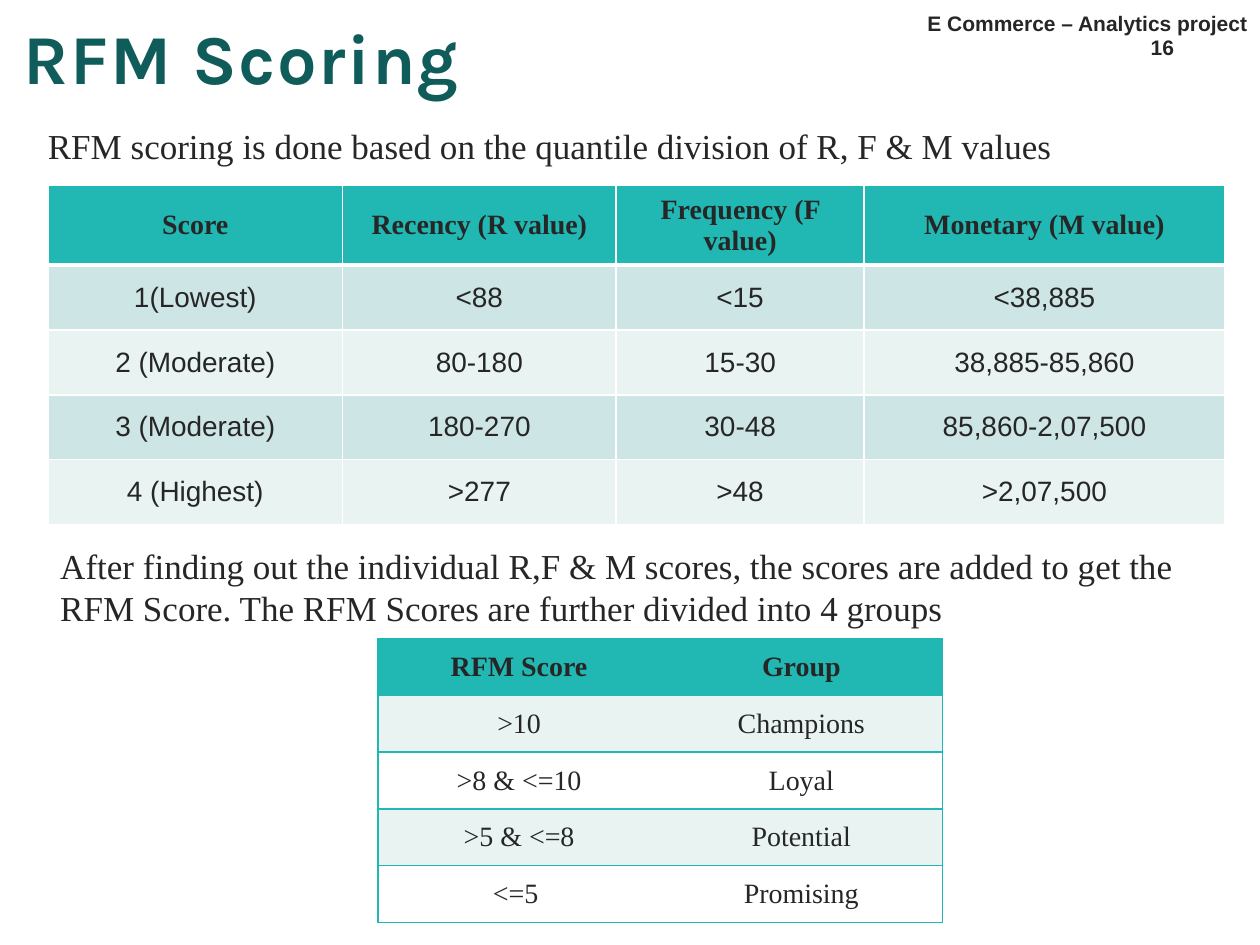
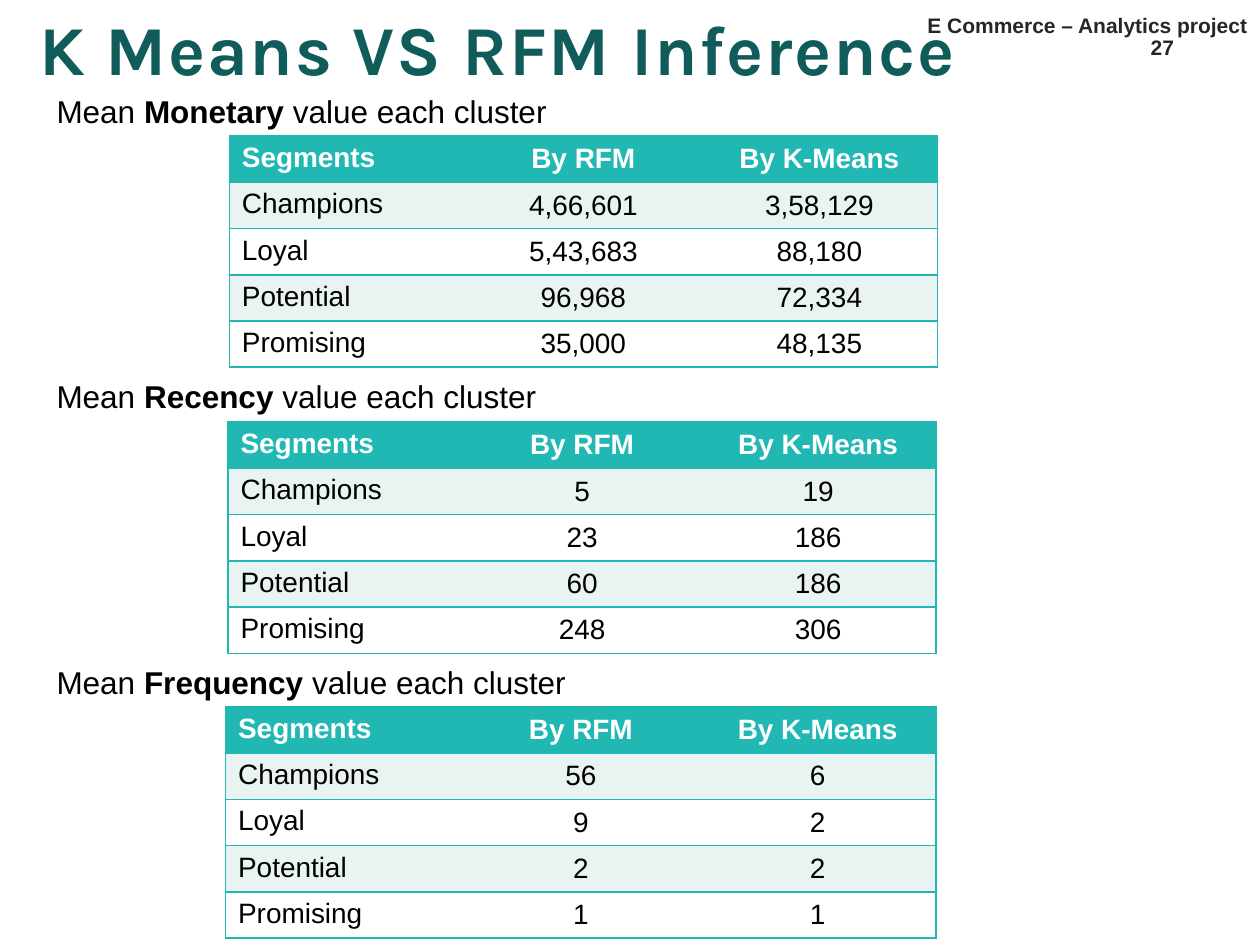
"""Builds two slides on RFM scoring and its comparison with K-Means."""
from dataclasses import dataclass
from typing import Any

from lxml.etree import SubElement
from pptx import Presentation
from pptx.dml.color import RGBColor
from pptx.enum.text import MSO_ANCHOR as Anchor, MSO_AUTO_SIZE as AutoSize, PP_ALIGN as Align
from pptx.oxml.ns import qn
from pptx.util import Inches, Pt

TEAL, DARK_TEAL = "21B8B3", "105C5A"
MID_TINT, LIGHT_TINT = "CDE6E5", "E8F3F2"
WHITE, BLACK, INK = "FFFFFF", "000000", "262626"
SANS, SERIF, DISPLAY = "Arial", "Times New Roman", "Karla"
TITLE_TRACKING = 100
TITLE_AND_BODY, TITLE_ONLY = 1, 5


@dataclass(frozen=True)
class Area:
    left: float
    top: float
    width: float
    height: float


@dataclass(frozen=True)
class TableLook:
    header_font: str
    body_font: str
    header_color: str
    body_color: str
    bands: tuple[str, str]
    line: str
    header_rule: float = 1
    inner_verticals: bool = False
    labels_left: bool = False


@dataclass(frozen=True)
class Comparison:
    measure: str
    caption_top: float
    table_area: Area
    by_rfm: tuple[str, ...]
    by_k_means: tuple[str, ...]


SCORE_LOOK = TableLook(SERIF, SANS, INK, INK, (MID_TINT, LIGHT_TINT), WHITE,
                       header_rule=3, inner_verticals=True)
GROUP_LOOK = TableLook(SERIF, SERIF, INK, INK, (LIGHT_TINT, WHITE), TEAL)
COMPARISON_LOOK = TableLook(SANS, SANS, WHITE, BLACK, (LIGHT_TINT, WHITE), TEAL,
                            labels_left=True)

SCORE_ROWS = [
    ("Score", "Recency (R value)", "Frequency (F value)", "Monetary (M value)"),
    ("1(Lowest)", "<88", "<15", "<38,885"),
    ("2 (Moderate)", "80-180", "15-30", "38,885-85,860"),
    ("3 (Moderate)", "180-270", "30-48", "85,860-2,07,500"),
    ("4 (Highest)", ">277", ">48", ">2,07,500"),
]
SEGMENTS = ("Champions", "Loyal", "Potential", "Promising")
GROUP_ROWS = [("RFM Score", "Group"),
              *zip((">10", ">8 & <=10", ">5 & <=8", "<=5 "), SEGMENTS)]
COMPARISONS = [
    Comparison("Monetary", 0.68, Area(1.82, 1.08, 5.62, 1.83),
               ("4,66,601", "5,43,683", "96,968", "35,000"),
               ("3,58,129", "88,180", "72,334", "48,135")),
    Comparison("Recency", 2.94, Area(1.81, 3.35, 5.62, 1.83),
               ("5", "23", "60", "248"), ("19", "186", "186", "306")),
    Comparison("Frequency", 5.21, Area(1.79, 5.61, 5.64, 1.83),
               ("56", "9", "2", "1"), ("6", "2", "2", "1")),
]


def rgb(color: str) -> RGBColor:
    return RGBColor.from_string(color)


def place(shape: Any, area: Area) -> None:
    shape.left, shape.top = Inches(area.left), Inches(area.top)
    shape.width, shape.height = Inches(area.width), Inches(area.height)


def write(para: Any, text: str, *, font: str = SANS, size: float = 16, color: str = INK,
          bold: bool = False, align: Any = Align.LEFT) -> Any:
    para.alignment = align
    span = para.add_run()
    span.text = text
    span.font.name, span.font.size, span.font.bold = font, Pt(size), bold
    span.font.color.rgb = rgb(color)
    return span


def add_text_box(page: Any, area: Area, anchor: Any = Anchor.TOP) -> Any:
    box = page.shapes.add_textbox(*map(Inches, (area.left, area.top, area.width, area.height)))
    box.text_frame.word_wrap = True
    box.text_frame.vertical_anchor = anchor
    return box.text_frame.paragraphs[0]


def start_page(deck: Any, layout: int, title: str, title_area: Area,
               project_area: Area, number: str) -> Any:
    page = deck.slides.add_slide(deck.slide_layouts[layout])
    place(page.shapes.title, title_area)
    frame = page.shapes.title.text_frame
    frame.auto_size, frame.vertical_anchor = AutoSize.NONE, Anchor.MIDDLE
    frame.margin_left = frame.margin_right = 0
    para = frame.paragraphs[0]
    span = write(para, title, font=DISPLAY, size=40, color=DARK_TEAL, bold=True)
    span.font._element.set("spc", str(TITLE_TRACKING))
    set_indent(para, 0.2)
    write(add_text_box(page, project_area, Anchor.BOTTOM), "E Commerce – Analytics project",
          size=12, bold=True, align=Align.RIGHT)
    write(add_text_box(page, Area(8.95, 0.19, 0.55, 0.33), Anchor.BOTTOM), number,
          size=12, bold=True, align=Align.CENTER)
    return page


def set_indent(para: Any, left: float) -> None:
    properties = para._p.get_or_add_pPr()
    properties.set("marL", str(Inches(left)))
    properties.set("indent", "0")


def set_border(cell: Any, side: str, color: str, width: float) -> None:
    line = SubElement(cell._tc.get_or_add_tcPr(), qn(f"a:ln{side}"), w=str(Pt(width)))
    if width:
        SubElement(SubElement(line, qn("a:solidFill")), qn("a:srgbClr"), val=color)
    else:
        SubElement(line, qn("a:noFill"))


def add_data_table(page: Any, area: Area, rows: list[tuple[str, ...]], look: TableLook,
                   widths: list[float], header_height: float) -> None:
    last_column = len(widths) - 1
    frame = page.shapes.add_table(len(rows), len(widths), Inches(area.left), Inches(area.top),
                                  Inches(area.width), Inches(area.height))
    table = frame.table
    table.first_row = table.horz_banding = False
    for column, width in zip(table.columns, widths):
        column.width = Inches(width)
    body_height = (area.height - header_height) / (len(rows) - 1)
    for row, values in enumerate(rows):
        header = row == 0
        table.rows[row].height = Inches(header_height if header else body_height)
        for column, value in enumerate(values):
            cell = table.cell(row, column)
            label = look.labels_left and column == 0
            cell.vertical_anchor = Anchor.TOP if label else Anchor.MIDDLE
            write(cell.text_frame.paragraphs[0], value, bold=header,
                  font=look.header_font if header else look.body_font,
                  color=look.header_color if header else look.body_color,
                  align=Align.LEFT if label else Align.CENTER)
            borders = {
                "L": look.inner_verticals or column == 0,
                "R": look.inner_verticals or column == last_column,
                "T": look.header_rule if row == 1 else 1,
                "B": look.header_rule if header else 1,
            }
            for side, width in borders.items():
                set_border(cell, side, look.line, width)
            cell.fill.solid()
            cell.fill.fore_color.rgb = rgb(TEAL if header else look.bands[(row - 1) % 2])


def add_scoring_page(deck: Any) -> None:
    page = start_page(deck, TITLE_AND_BODY, "RFM Scoring", Area(-0.01, 0.01, 6.78, 0.87),
                      Area(5.87, 0, 4.13, 0.33), "16")
    body = page.placeholders[1]
    place(body, Area(0.28, 0.94, 9.45, 0.53))
    body.text_frame.auto_size = AutoSize.NONE
    para = body.text_frame.paragraphs[0]
    write(para, "RFM scoring is done based on the quantile division of R, F & M values",
          font=SERIF, size=20)
    para.space_after = Pt(10)
    set_indent(para, 0)
    SubElement(para._p.get_or_add_pPr(), qn("a:buNone"))
    add_data_table(page, Area(0.38, 1.47, 9.34, 2.66), SCORE_ROWS, SCORE_LOOK,
                   [2.34, 2.17, 1.97, 2.86], 0.6)
    write(add_text_box(page, Area(0.38, 4.27, 9.64, 0.77)),
          "After finding out the individual R,F & M scores, the scores are added to get the "
          "RFM Score. The RFM Scores are further divided into 4 groups", font=SERIF, size=20)
    add_data_table(page, Area(3, 5.07, 4.48, 2.25), GROUP_ROWS, GROUP_LOOK, [2.24] * 2, 0.45)


def add_inference_page(deck: Any) -> None:
    page = start_page(deck, TITLE_ONLY, "K Means VS RFM Inference", Area(0.11, 0.11, 7.64, 0.54),
                      Area(5.87, 0.07, 4.13, 0.28), "27")
    for item in COMPARISONS:
        para = add_text_box(page, Area(0.35, item.caption_top, 8.98, 0.4))
        for text in ("Mean ", item.measure, " value each cluster"):
            write(para, text, size=18, color=BLACK, bold=text == item.measure)
        rows = [("Segments", "By RFM", "By K-Means"),
                *zip(SEGMENTS, item.by_rfm, item.by_k_means)]
        add_data_table(page, item.table_area, rows, COMPARISON_LOOK,
                       [item.table_area.width / 3] * 3, item.table_area.height / len(rows))


def main() -> None:
    deck = Presentation()
    deck.slide_width, deck.slide_height = Inches(10), Inches(7.5)
    add_scoring_page(deck)
    add_inference_page(deck)
    deck.save("out.pptx")


if __name__ == "__main__":
    main()
